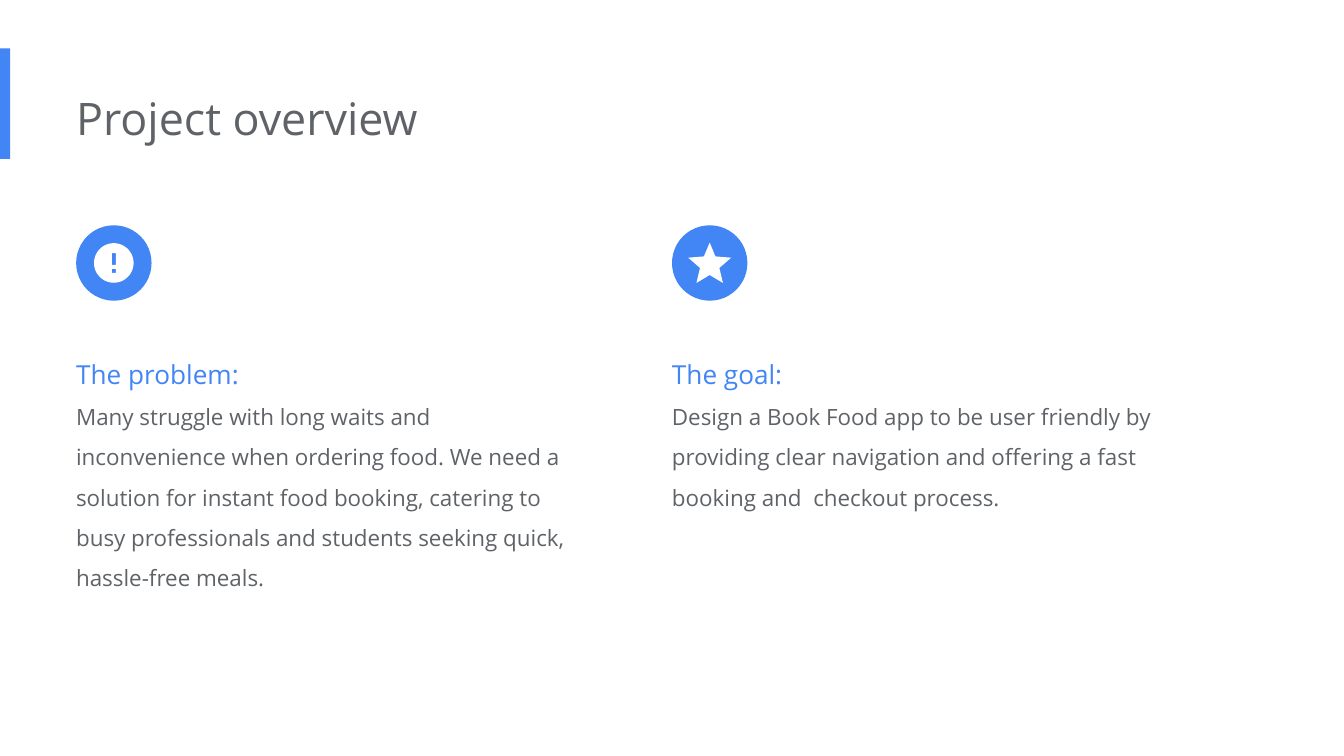
from math import cos, pi, sin

from pptx import Presentation
from pptx.dml.color import RGBColor
from pptx.enum.shapes import MSO_SHAPE
from pptx.enum.text import MSO_AUTO_SIZE
from pptx.util import Pt

RECTANGLE = MSO_SHAPE.RECTANGLE
OVAL = MSO_SHAPE.OVAL
FIT_SHAPE = MSO_AUTO_SIZE.SHAPE_TO_FIT_TEXT

BLUE = RGBColor(0x42, 0x85, 0xF4)
GRAY = RGBColor(0x5F, 0x63, 0x68)
WHITE = RGBColor(0xFF, 0xFF, 0xFF)
FONT = "Open Sans"

MARGIN = 40.8
COLUMN_STEP = 319.2
DISC_TOP = 120.7
DISC_SIZE = 40.4
TEXT_TOP = 176.4
TEXT_WIDTH = 271.4

# Icon outlines, in points from the centre of the disc
STAR_RIGHT = [(0, -10.9), (3.1, -3.5), (11.5, -2.8), (5.2, 2.7), (7.1, 10.7), (0, 6.5)]
STAR = STAR_RIGHT + [(-x, y) for x, y in STAR_RIGHT[-2:0:-1]]
BADGE = [(10.6 * cos(step * pi / 40), 10.6 * sin(step * pi / 40)) for step in range(80)]


def bar(top, bottom, half_width=1.06):
    return [(-half_width, top), (-half_width, bottom), (half_width, bottom), (half_width, top)]


ALERT_ICON = [BADGE, bar(-5.3, 1), bar(3.2, 5.3)]
STAR_ICON = [STAR]

COLUMNS = [
    (ALERT_ICON, "The problem:",
     "Many struggle with long waits and inconvenience when ordering food. "
     "We need a solution for instant food booking, catering to busy "
     "professionals and students seeking quick, hassle-free meals.", 149),
    (STAR_ICON, "The goal:",
     "Design a Book Food app to be user friendly by providing clear "
     "navigation and offering a fast booking and  checkout process.", 105.1),
]


class SlideBuilder:
    def __init__(self, page):
        self.page = page

    def paint(self, shape, color):
        shape.shadow.inherit = False
        shape.fill.solid()
        shape.fill.fore_color.rgb = color
        shape.line.fill.background()

    def shape(self, kind, left, top, width, height):
        shape = self.page.shapes.add_shape(kind, Pt(left), Pt(top), Pt(width), Pt(height))
        self.paint(shape, BLUE)

    def icon(self, center_x, center_y, outlines):
        """Draw closed outlines as one white shape; inner outlines are holes."""
        builder = None
        for outline in outlines:
            points = [(Pt(center_x + x), Pt(center_y + y)) for x, y in outline]
            if builder is None:
                builder = self.page.shapes.build_freeform(*points[0])
            else:
                builder.move_to(*points[0])
            builder.add_line_segments(points[1:], close=True)
        self.paint(builder.convert_to_shape(), WHITE)

    def text(self, left, top, width, height, lines, spacing=None):
        """Add a text box; each line is (text, size, color)."""
        box = self.page.shapes.add_textbox(Pt(left), Pt(top), Pt(width), Pt(height))
        frame = box.text_frame
        frame.word_wrap = True
        frame.auto_size = FIT_SHAPE
        frame.margin_left = 0
        frame.margin_top = frame.margin_right = frame.margin_bottom = Pt(7.2)
        frame.text = "\n".join(text for text, _, _ in lines)
        for paragraph, (_, size, color) in zip(frame.paragraphs, lines):
            paragraph.line_spacing = spacing
            for span in paragraph.runs:
                span.font.name = FONT
                span.font.size = Pt(size)
                span.font.color.rgb = color


def main():
    deck = Presentation()
    deck.slide_width, deck.slide_height = Pt(720), Pt(405)
    slide = SlideBuilder(deck.slides.add_slide(deck.slide_layouts[6]))

    slide.shape(RECTANGLE, 0, 25.9, 5.5, 59.3)
    slide.text(MARGIN, 41.2, 484.6, 44, [("Project overview", 24, GRAY)])

    for index, (icon, heading, body, height) in enumerate(COLUMNS):
        left = MARGIN + index * COLUMN_STEP
        slide.shape(OVAL, left, DISC_TOP, DISC_SIZE, DISC_SIZE)
        slide.icon(left + DISC_SIZE / 2, DISC_TOP + DISC_SIZE / 2, icon)
        slide.text(left, TEXT_TOP, TEXT_WIDTH, height,
                   [(heading, 14, BLUE), (body, 12, GRAY)], spacing=1.5)

    deck.save("out.pptx")


if __name__ == "__main__":
    main()
